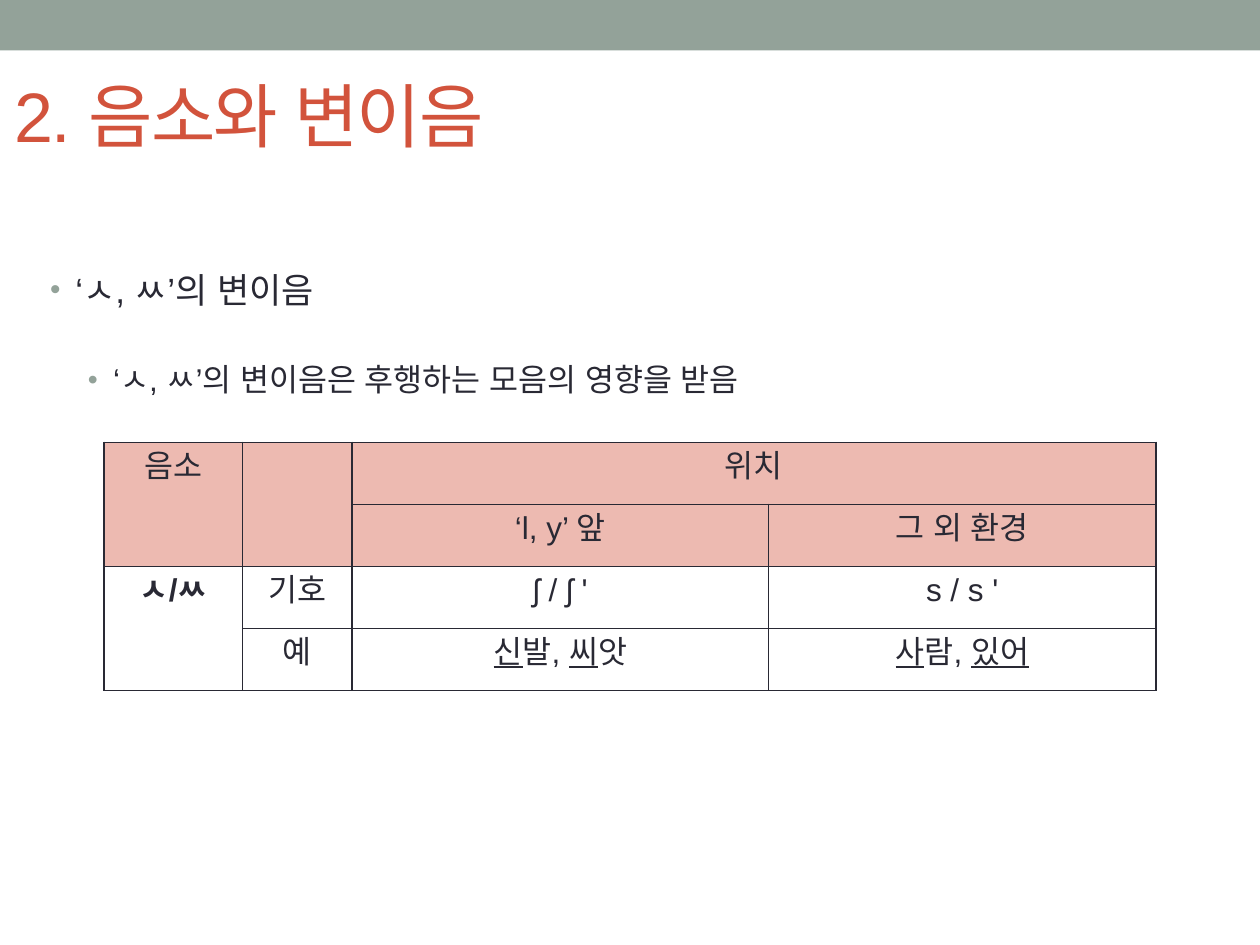
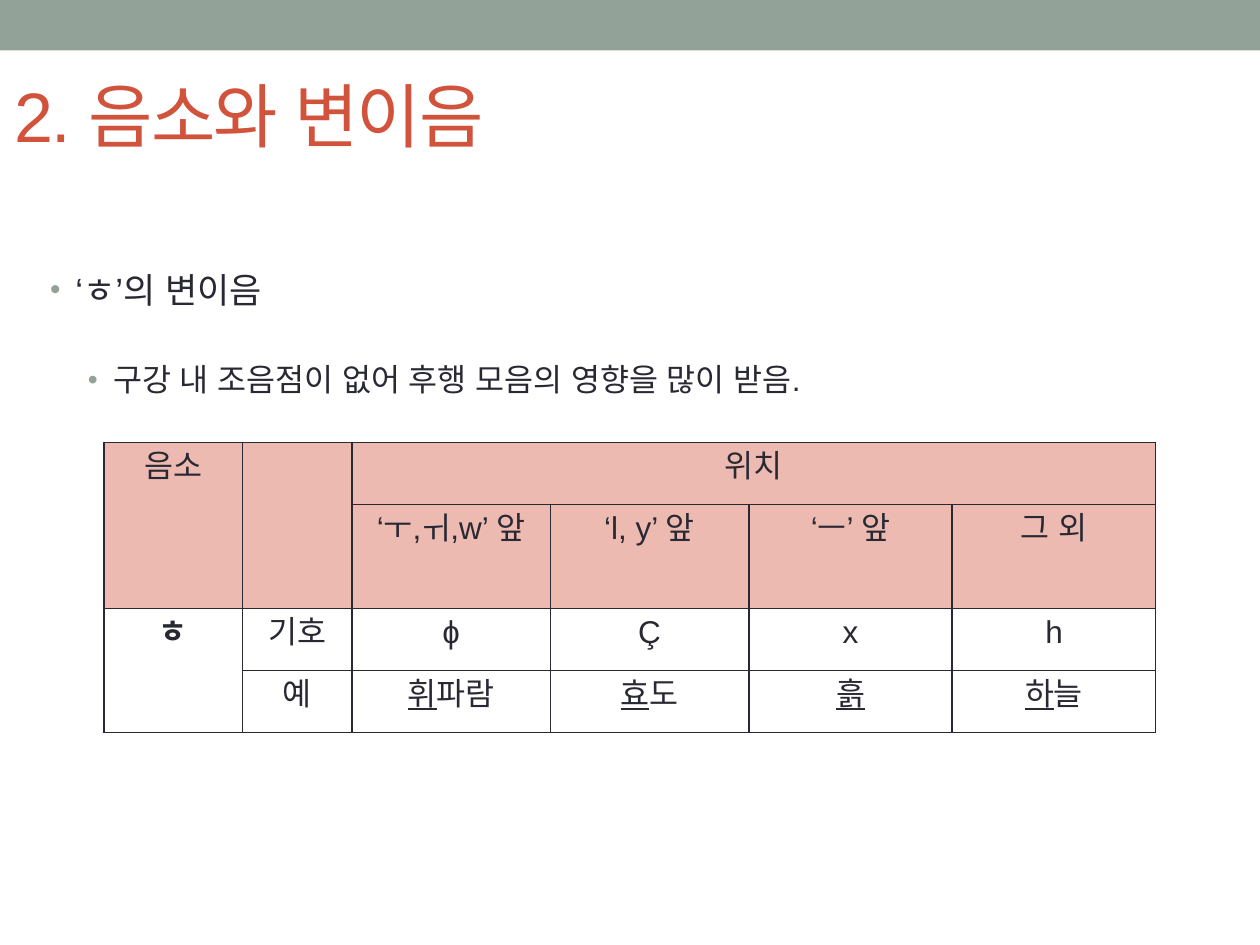
from lxml.etree import SubElement
from pptx import Presentation
from pptx.dml.color import RGBColor
from pptx.enum.lang import MSO_LANGUAGE_ID as Language
from pptx.enum.shapes import MSO_SHAPE as Shape
from pptx.enum.text import MSO_ANCHOR as Anchor, MSO_AUTO_SIZE as AutoSize, PP_ALIGN as Align
from pptx.oxml.ns import qn
from pptx.util import Pt

COLORS = {
    "band": "93A299",
    "title": "D2533C",
    "text": "292934",
    "header": "EDBAB1",
}
FONT = "Arial"
TITLE_ONLY = 5
ROW_HEIGHT = 35.46
LABEL_WIDTHS = [79.4, 62.4]


class Deck:
    """Holds the shared style and the slide being built."""

    def __init__(self):
        self.prs = Presentation()
        self.prs.slide_width, self.prs.slide_height = Pt(720), Pt(540)
        self.slide = None

    def color(self, name):
        return RGBColor.from_string(COLORS[name])

    def style(self, run, size, color="text", bold=False):
        run.font.name, run.font.size, run.font.bold = FONT, Pt(size), bold
        run.font.color.rgb = self.color(color)
        run.font.language_id = Language.KOREAN
        # Hangul takes the same typeface as Latin text
        SubElement(run._r.get_or_add_rPr(), qn("a:ea"), typeface=FONT)

    def new_slide(self, heading):
        self.slide = self.prs.slides.add_slide(self.prs.slide_layouts[TITLE_ONLY])
        self.band()
        self.title(heading)

    def band(self):
        band = self.slide.shapes.add_shape(Shape.RECTANGLE, 0, 0, Pt(720), Pt(28.8))
        band.shadow.inherit = False
        band.fill.solid()
        band.fill.fore_color.rgb = self.color("band")
        band.line.fill.background()

    def title(self, heading):
        title = self.slide.shapes.title
        title.left, title.top, title.width, title.height = Pt(1.2), Pt(26.5), Pt(648), Pt(78)
        frame = title.text_frame
        frame.text = heading
        frame.auto_size = AutoSize.NONE
        frame.vertical_anchor = Anchor.MIDDLE
        frame.paragraphs[0].alignment = Align.LEFT
        run = frame.paragraphs[0].runs[0]
        self.style(run, 40, "title")
        run._r.get_or_add_rPr().set("spc", "-100")

    def bullet(self, paragraph, indent, size_percent):
        props = paragraph._p.get_or_add_pPr()
        props.set("marL", str(Pt(indent)))
        props.set("indent", str(-Pt(14.4)))
        color = SubElement(props, qn("a:buClr"))
        SubElement(color, qn("a:srgbClr"), val=COLORS["band"])
        SubElement(props, qn("a:buSzPct"), val=str(size_percent * 1000))
        SubElement(props, qn("a:buFont"), typeface=FONT)
        SubElement(props, qn("a:buChar"), char="•")

    def points(self, topic, detail):
        box = self.slide.shapes.add_textbox(0, Pt(149.8), Pt(720), Pt(96))
        frame = box.text_frame
        frame.word_wrap = True
        frame.text = topic
        frame.add_paragraph().text = detail
        levels = [(20, 36, 85, 0), (18, 57.6, 90, 28.6)]
        for paragraph, (size, indent, percent, gap) in zip(frame.paragraphs, levels):
            paragraph.space_before = Pt(gap)
            self.bullet(paragraph, indent, percent)
            self.style(paragraph.runs[0], size)

    def borders(self, cell):
        props = cell._tc.get_or_add_tcPr()
        for side in ("lnL", "lnR", "lnT", "lnB"):
            line = SubElement(props, qn(f"a:{side}"), w=str(Pt(1)))
            fill = SubElement(line, qn("a:solidFill"))
            SubElement(fill, qn("a:srgbClr"), val=COLORS["text"])

    def cell(self, cell, content, header, bold):
        """Fill one cell; parts between underscores are underlined."""
        self.borders(cell)
        if header:
            cell.fill.solid()
            cell.fill.fore_color.rgb = self.color("header")
        else:
            cell.fill.background()
        paragraph = cell.text_frame.paragraphs[0]
        paragraph.alignment = Align.CENTER
        for i, part in enumerate(content.split("_")):
            if part:
                run = paragraph.add_run()
                run.text = part
                self.style(run, 18, bold=bold)
                run.font.underline = i % 2 == 1

    def allophone_table(self, phoneme, position_widths, positions, symbols, examples,
                        position_height=ROW_HEIGHT):
        widths = LABEL_WIDTHS + position_widths
        heights = [ROW_HEIGHT, position_height, ROW_HEIGHT, ROW_HEIGHT]
        rows = [
            ["음소", "", "위치"] + [""] * (len(positions) - 1),
            ["", ""] + positions,
            [phoneme, "기호"] + symbols,
            ["", "예"] + examples,
        ]
        table = self.slide.shapes.add_table(
            len(rows), len(widths), Pt(59.3), Pt(252.8),
            Pt(sum(widths)), Pt(sum(heights))).table
        table.first_row = table.horz_banding = False
        for column, width in zip(table.columns, widths):
            column.width = Pt(width)
        for r, contents in enumerate(rows):
            table.rows[r].height = Pt(heights[r])
            for c, content in enumerate(contents):
                self.cell(table.cell(r, c), content, header=r < 2, bold=r == 2 and c == 0)
        # Labels span two rows, the position heading spans all positions
        spans = [(0, 0, 1, 0), (0, 1, 1, 1), (0, 2, 0, len(widths) - 1), (2, 0, 3, 0)]
        for top, left, bottom, right in spans:
            table.cell(top, left).merge(table.cell(bottom, right))


def main():
    deck = Deck()
    heading = "2. 음소와 변이음"

    # Allophones of ㅅ and ㅆ
    deck.new_slide(heading)
    deck.points("‘ㅅ, ㅆ’의 변이음", "‘ㅅ, ㅆ’의 변이음은 후행하는 모음의 영향을 받음")
    deck.allophone_table(
        "ㅅ/ㅆ", [238.2, 221.2],
        positions=["‘l, y’ 앞", "그 외 환경"],
        symbols=["ʃ / ʃ ʹ", "s / s ʹ"],
        examples=["_신_발, _씨_앗", "_사_람, _있어_"])

    # Allophones of ㅎ
    deck.new_slide(heading)
    deck.points("‘ㅎ’의 변이음", "구강 내 조음점이 없어 후행 모음의 영향을 많이 받음.")
    deck.allophone_table(
        "ㅎ", [113.4, 113.4, 116.3, 116.3],
        positions=["‘ㅜ,ㅟ,w’ 앞", "‘l, y’ 앞", "‘ㅡ’ 앞", "그 외"],
        symbols=["ɸ", "Ç", "x", "h"],
        examples=["_휘_파람", "_효_도", "_흙_", "_하_늘"],
        position_height=59.4)

    deck.prs.save("out.pptx")


if __name__ == "__main__":
    main()
